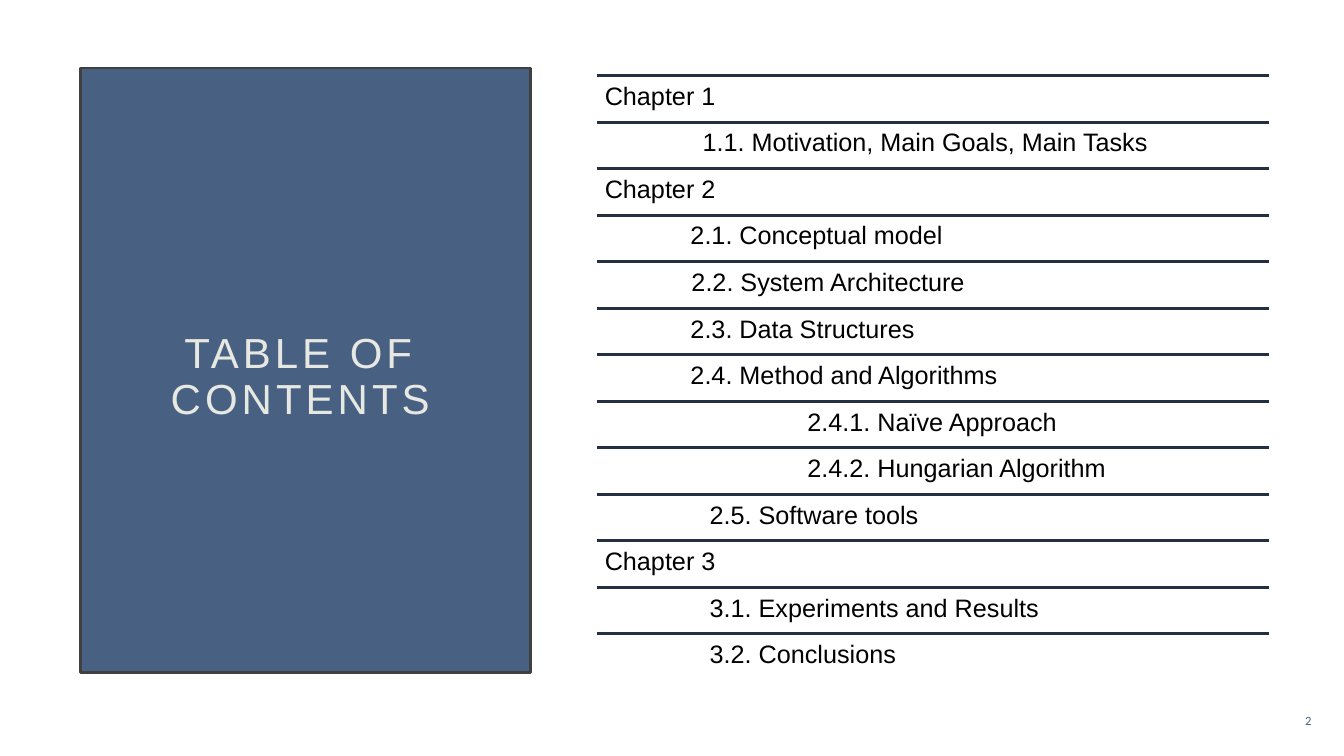
from lxml.etree import SubElement
from pptx import Presentation
from pptx.dml.color import RGBColor
from pptx.enum.shapes import MSO_CONNECTOR, MSO_SHAPE
from pptx.enum.text import MSO_ANCHOR, MSO_AUTO_SIZE, PP_ALIGN
from pptx.oxml.ns import qn
from pptx.util import Inches, Pt

BLUE, NAVY, GREY = "486183", "243041", "404040"
CREAM, BLACK = "E8E8E2", "000000"

ROWS = [
    ("Chapter 1", 0),
    ("1.1. Motivation, Main Goals, Main Tasks", 0.97),
    ("Chapter 2", 0),
    ("2.1. Conceptual model", 0.85),
    ("2.2. System Architecture", 0.86),
    ("2.3. Data Structures", 0.85),
    ("2.4. Method and Algorithms", 0.85),
    ("2.4.1. Naïve Approach", 2.01),
    ("2.4.2. Hungarian Algorithm", 2.01),
    ("2.5. Software tools", 1.04),
    ("Chapter 3", 0),
    ("3.1. Experiments and Results", 1.04),
    ("3.2. Conclusions", 1.04),
]


def hue(code):
    return RGBColor.from_string(code)


def write(shape, text, size=18, color=BLACK, font="Arial", align=PP_ALIGN.LEFT,
          anchor=MSO_ANCHOR.TOP, pad=(0.1, 0.05), lead=0.9, after=0,
          indent=0, track=0):
    frame = shape.text_frame
    frame.word_wrap = True
    frame.auto_size = MSO_AUTO_SIZE.NONE
    frame.vertical_anchor = anchor
    frame.margin_left = frame.margin_right = Inches(pad[0])
    frame.margin_top = frame.margin_bottom = Inches(pad[1])
    para = frame.paragraphs[0]
    para.alignment = align
    para.line_spacing = lead
    para.space_before = Pt(0)
    para.space_after = Pt(after)
    props = para._p.get_or_add_pPr()
    props.set("marL", str(Inches(indent)))
    props.set("indent", "0")
    run = para.add_run()
    run.text = text
    run.font.size = Pt(size)
    run.font.name = font
    run.font.color.rgb = hue(color)
    if track:
        run._r.get_or_add_rPr().set("spc", str(round(track * 100)))


class Deck:
    def __init__(self):
        self.show = Presentation()
        self.show.slide_width = Inches(13.33)
        self.show.slide_height = Inches(7.5)
        self.slide = self.show.slides.add_slide(self.show.slide_layouts[5])
        self.items = self.slide.shapes

    def place(self, left, top, wide, high):
        across, down = self.show.slide_width / 100, self.show.slide_height / 100
        return [round(n) for n in
                (left * across, top * down, wide * across, high * down)]

    def panel(self, area, fill, edge):
        shape = self.items.add_shape(MSO_SHAPE.RECTANGLE, *self.place(*area))
        shape.shadow.inherit = False
        shape.fill.solid()
        shape.fill.fore_color.rgb = hue(fill)
        shape.line.color.rgb = hue(edge)
        shape.line.width = Pt(2)

    def title(self, area, text, **style):
        shape = self.items.title
        shape.left, shape.top, shape.width, shape.height = self.place(*area)
        self.items._spTree.append(shape._element)
        write(shape, text, **style)

    def label(self, area, text, **style):
        write(self.items.add_textbox(*self.place(*area)), text, **style)

    def rule(self, left, top, wide, color):
        x, y, span, _ = self.place(left, top, wide, 0)
        line = self.items.add_connector(MSO_CONNECTOR.STRAIGHT, x, y, x + span, y)
        line.line.color.rgb = hue(color)
        line.line.width = Pt(2)
        SubElement(line._element.spPr, qn("a:effectLst"))


def main():
    deck = Deck()
    deck.panel((6, 9, 33.46, 80), BLUE, GREY)
    deck.title((9.38, 20, 25.95, 60), "TABLE OF CONTENTS", size=30, color=CREAM,
               align=PP_ALIGN.CENTER, anchor=MSO_ANCHOR.MIDDLE, track=2.9)
    left, top, wide = 44.4, 10, 50
    step = 80 / len(ROWS)
    for i, (text, indent) in enumerate(ROWS):
        y = top + i * step
        deck.rule(left, y, wide, NAVY)
        deck.label((left, y, wide, step), text, pad=(0.08, 0.08), after=6.3,
                   indent=indent)
    deck.label((91.2, 92.67, 7.13, 5.33), "2", size=9, color=BLUE, font="Calibri",
               align=PP_ALIGN.RIGHT, anchor=MSO_ANCHOR.MIDDLE, lead=1, track=2.9)
    deck.show.save("out.pptx")


if __name__ == "__main__":
    main()
